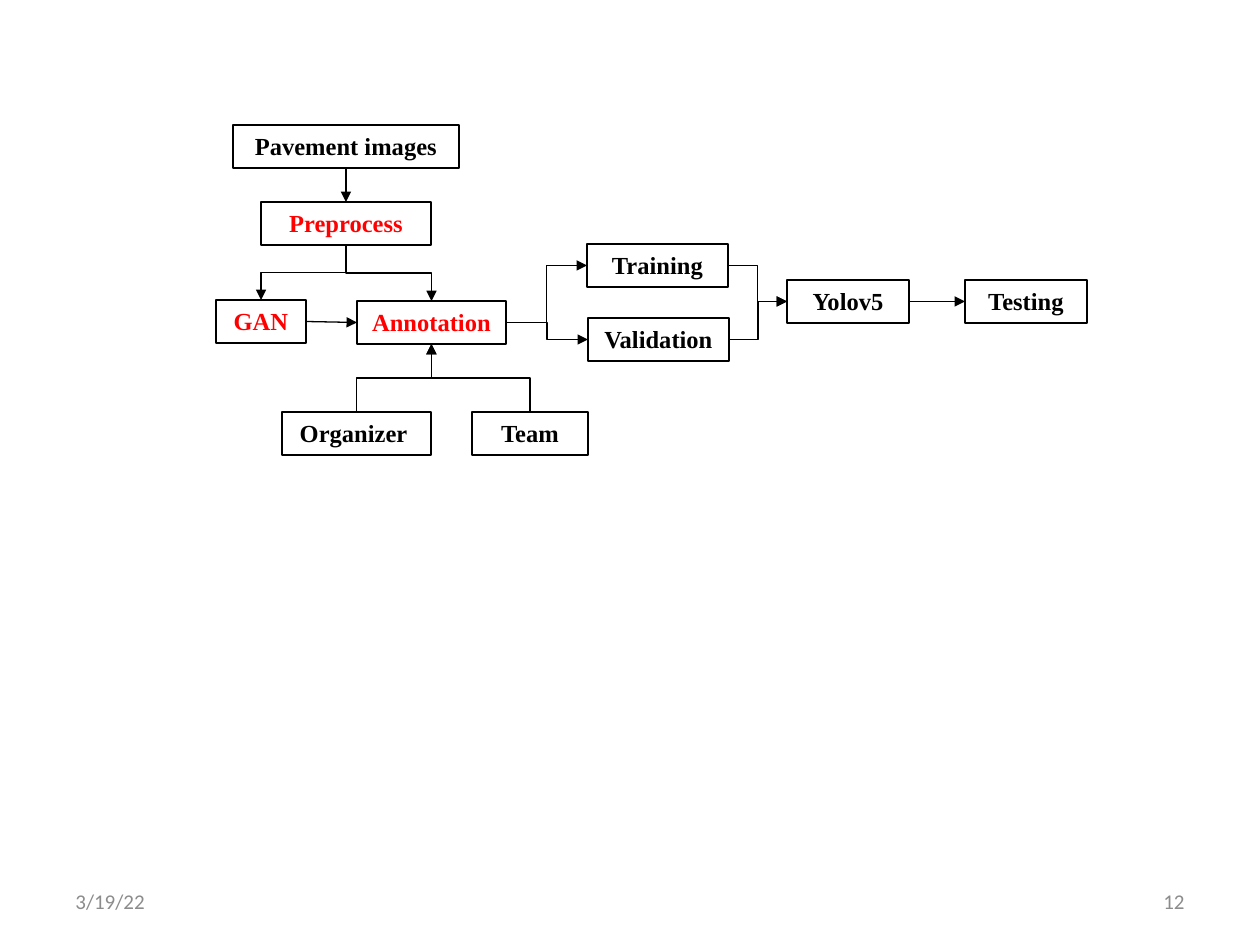
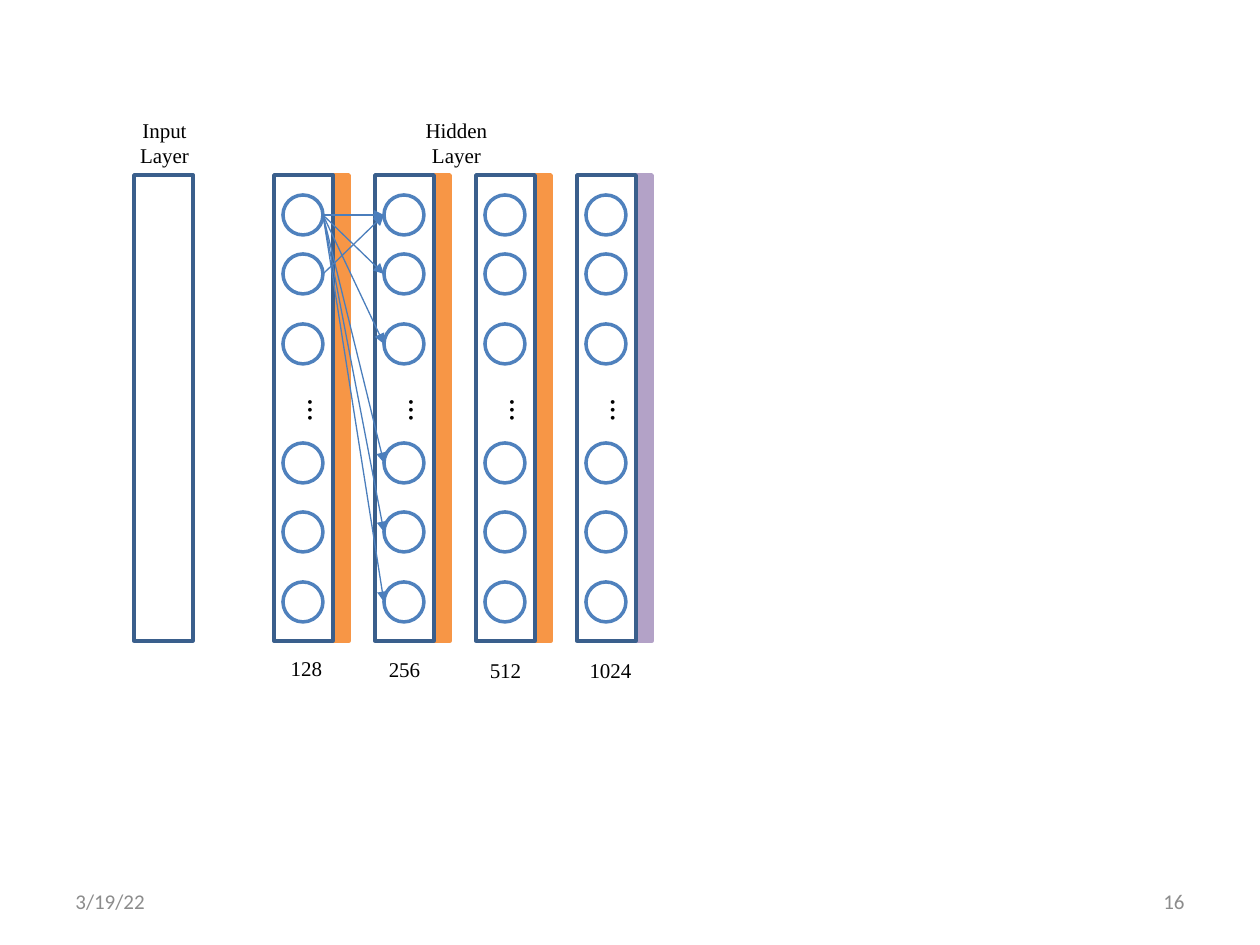
from dataclasses import dataclass
from typing import NamedTuple

from lxml.etree import SubElement
from pptx import Presentation
from pptx.dml.color import RGBColor
from pptx.enum.shapes import MSO_CONNECTOR, MSO_SHAPE
from pptx.enum.text import MSO_ANCHOR, MSO_AUTO_SIZE, PP_ALIGN
from pptx.oxml.ns import qn
from pptx.util import Emu, Pt

# Shared style
DPI = 126
COLORS = {
    "black": "000000", "white": "FFFFFF", "red": "FF0000", "footer": "8C8C8C",
    "frame": "3A5F8C", "neuron": "4F81BD", "arrow": "4B7EBC",
    "orange": "F79646", "purple": "B3A2C7",
}
SERIF, SANS = "Times New Roman", "Calibri"
TOP, LEFT, BOTTOM, RIGHT = range(4)


class Point(NamedTuple):
    x: float
    y: float


@dataclass(frozen=True)
class Area:
    x: int
    y: int
    w: int
    h: int

    def side(self, side: int) -> Point:
        """Middle of one side."""
        return {
            TOP: Point(self.x + self.w / 2, self.y),
            LEFT: Point(self.x, self.y + self.h / 2),
            BOTTOM: Point(self.x + self.w / 2, self.y + self.h),
            RIGHT: Point(self.x + self.w, self.y + self.h / 2),
        }[side]


@dataclass(frozen=True)
class TextStyle:
    size: int
    font: str = SERIF
    color: str = "black"
    bold: bool = False
    align: PP_ALIGN = PP_ALIGN.CENTER


class Step(NamedTuple):
    text: str
    x: int
    y: int
    w: int
    color: str = "black"


class Link(NamedTuple):
    start: str
    start_side: int
    end: str
    end_side: int
    bent: bool = True


class Layer(NamedTuple):
    units: str
    bar: str
    label_x: int
    label_y: int


def px(n: float) -> Emu:
    return Emu(round(n * 914400 / DPI))


def rgb(name: str) -> RGBColor:
    return RGBColor.from_string(COLORS[name])


# Drawing helpers
def write(sp, text: str, style: TextStyle) -> None:
    tf = sp.text_frame
    tf.word_wrap = True
    p = tf.paragraphs[0]
    p.text = text
    p.alignment = style.align
    for r in p.runs:
        r.font.size = Pt(style.size)
        r.font.name = style.font
        r.font.bold = style.bold
        r.font.color.rgb = rgb(style.color)


def add_text(slide, area: Area, text: str, style: TextStyle):
    sp = slide.shapes.add_textbox(px(area.x), px(area.y), px(area.w), px(area.h))
    write(sp, text, style)
    return sp


def add_figure(slide, kind: MSO_SHAPE, area: Area, line: str,
               fill: str | None = None, width: float = 2):
    sp = slide.shapes.add_shape(kind, px(area.x), px(area.y), px(area.w), px(area.h))
    sp.shadow.inherit = False
    if fill:
        sp.fill.solid()
        sp.fill.fore_color.rgb = rgb(fill)
    else:
        sp.fill.background()
    sp.line.color.rgb = rgb(line)
    sp.line.width = Pt(width)
    return sp


def add_arrow(slide, a: Point, b: Point, color: str,
              kind: MSO_CONNECTOR = MSO_CONNECTOR.STRAIGHT):
    cxn = slide.shapes.add_connector(kind, px(a.x), px(a.y), px(b.x), px(b.y))
    cxn.line.color.rgb = rgb(color)
    cxn.line.width = Pt(0.75)
    sp_pr = cxn._element.spPr
    SubElement(sp_pr.find(qn("a:ln")), qn("a:tailEnd"), type="triangle")
    SubElement(sp_pr, qn("a:effectLst"))
    return cxn


def add_elbow(slide, a: Point, b: Point, vertical: bool) -> None:
    if not vertical:
        add_arrow(slide, a, b, "black", MSO_CONNECTOR.ELBOW)
        return
    # Leaving vertically: lay the elbow on its side, then turn it a quarter
    cx, cy = (a.x + b.x) / 2, (a.y + b.y) / 2
    dx, dy = (b.x - a.x) / 2, (b.y - a.y) / 2
    cxn = add_arrow(slide, Point(cx - dy, cy + dx), Point(cx + dy, cy - dx),
                    "black", MSO_CONNECTOR.ELBOW)
    cxn._element.spPr.find(qn("a:xfrm")).set("rot", str(90 * 60000))


def new_slide(prs, number: int):
    slide = prs.slides.add_slide(prs.slide_layouts[6])
    for x, text, align in ((63, "3/19/22", PP_ALIGN.LEFT),
                           (903, str(number), PP_ALIGN.RIGHT)):
        sp = add_text(slide, Area(x, 876, 294, 50), text,
                      TextStyle(12, SANS, "footer", align=align))
        sp.text_frame.vertical_anchor = MSO_ANCHOR.MIDDLE
    return slide


# Slide 1: workflow
STEP_H = 43
STEPS = [
    Step("Pavement images", 233, 125, 226),
    Step("Preprocess", 261, 202, 170, "red"),
    Step("GAN", 216, 300, 90, "red"),
    Step("Annotation", 357, 301, 149, "red"),
    Step("Organizer ", 282, 412, 149),
    Step("Team", 472, 412, 116),
    Step("Training", 587, 244, 141),
    Step("Validation", 588, 318, 141),
    Step("Yolov5", 787, 280, 122),
    Step("Testing", 965, 280, 122),
]
LINKS = [
    Link("Pavement images", BOTTOM, "Preprocess", TOP, bent=False),
    Link("Preprocess", BOTTOM, "GAN", TOP),
    Link("Preprocess", BOTTOM, "Annotation", TOP),
    Link("GAN", RIGHT, "Annotation", LEFT, bent=False),
    Link("Organizer ", TOP, "Annotation", BOTTOM),
    Link("Team", TOP, "Annotation", BOTTOM),
    Link("Annotation", RIGHT, "Training", LEFT),
    Link("Annotation", RIGHT, "Validation", LEFT),
    Link("Training", RIGHT, "Yolov5", LEFT),
    Link("Validation", RIGHT, "Yolov5", LEFT),
    Link("Yolov5", RIGHT, "Testing", LEFT, bent=False),
]


def build_workflow(prs) -> None:
    slide = new_slide(prs, 12)
    areas, boxes = {}, {}
    for step in STEPS:
        area = Area(step.x, step.y, step.w, STEP_H)
        sp = add_figure(slide, MSO_SHAPE.RECTANGLE, area, "black", width=1.5)
        write(sp, step.text, TextStyle(14, color=step.color, bold=True))
        sp.text_frame.vertical_anchor = MSO_ANCHOR.TOP
        sp.text_frame.auto_size = MSO_AUTO_SIZE.SHAPE_TO_FIT_TEXT
        areas[step.text], boxes[step.text] = area, sp
    for link in LINKS:
        a = areas[link.start].side(link.start_side)
        b = areas[link.end].side(link.end_side)
        if link.bent:
            add_elbow(slide, a, b, link.start_side in (TOP, BOTTOM))
        else:
            cxn = add_arrow(slide, a, b, "black")
            cxn.begin_connect(boxes[link.start], link.start_side)
            cxn.end_connect(boxes[link.end], link.end_side)


# Slide 2: network layers
LAYER_X, LAYER_PITCH, LAYER_Y = 274, 101, 175
LAYER_W, LAYER_H, BAR_W = 59, 466, 16
NEURON_D, NEURON_INSET = 40, 9
NEURON_YS = [195, 254, 324, 443, 512, 582]
LAYERS = [
    Layer("128", "orange", 267, 649),
    Layer("256", "orange", 365, 650),
    Layer("512", "orange", 466, 651),
    Layer("1024", "purple", 571, 651),
]
# Arrows from the first layer to the second, as neuron indexes
WEIGHTS = [(0, end) for end in range(len(NEURON_YS))] + [(1, 0)]


def add_layer(slide, x: int, layer: Layer) -> list[Area]:
    add_figure(slide, MSO_SHAPE.RECTANGLE,
               Area(x + LAYER_W, LAYER_Y, BAR_W, LAYER_H), layer.bar, layer.bar)
    neurons = [Area(x + NEURON_INSET, y, NEURON_D, NEURON_D) for y in NEURON_YS]
    for area in neurons:
        add_figure(slide, MSO_SHAPE.OVAL, area, "neuron", "white")
    add_figure(slide, MSO_SHAPE.RECTANGLE,
               Area(x, LAYER_Y, LAYER_W, LAYER_H), "frame")
    dots = add_text(slide, Area(x + NEURON_INSET, 387, 63, 46), "…",
                    TextStyle(18, SANS))
    dots.text_frame._txBody.bodyPr.set("vert", "eaVert")
    add_text(slide, Area(layer.label_x, layer.label_y, 79, 38), layer.units,
             TextStyle(12))
    return neurons


def build_network(prs) -> None:
    slide = new_slide(prs, 16)
    add_figure(slide, MSO_SHAPE.RECTANGLE,
               Area(134, LAYER_Y, LAYER_W, LAYER_H), "frame")
    for text, x, w in (("Input Layer", 125, 79), ("Hidden Layer", 412, 89)):
        add_text(slide, Area(x, 111, w, 63), text, TextStyle(12))
    columns = [add_layer(slide, LAYER_X + i * LAYER_PITCH, layer)
               for i, layer in enumerate(LAYERS)]
    for start, end in WEIGHTS:
        add_arrow(slide, columns[0][start].side(RIGHT),
                  columns[1][end].side(LEFT), "arrow")


def main() -> None:
    prs = Presentation()
    prs.slide_width, prs.slide_height = px(1260), px(945)
    build_workflow(prs)
    build_network(prs)
    prs.save("out.pptx")


if __name__ == "__main__":
    main()
